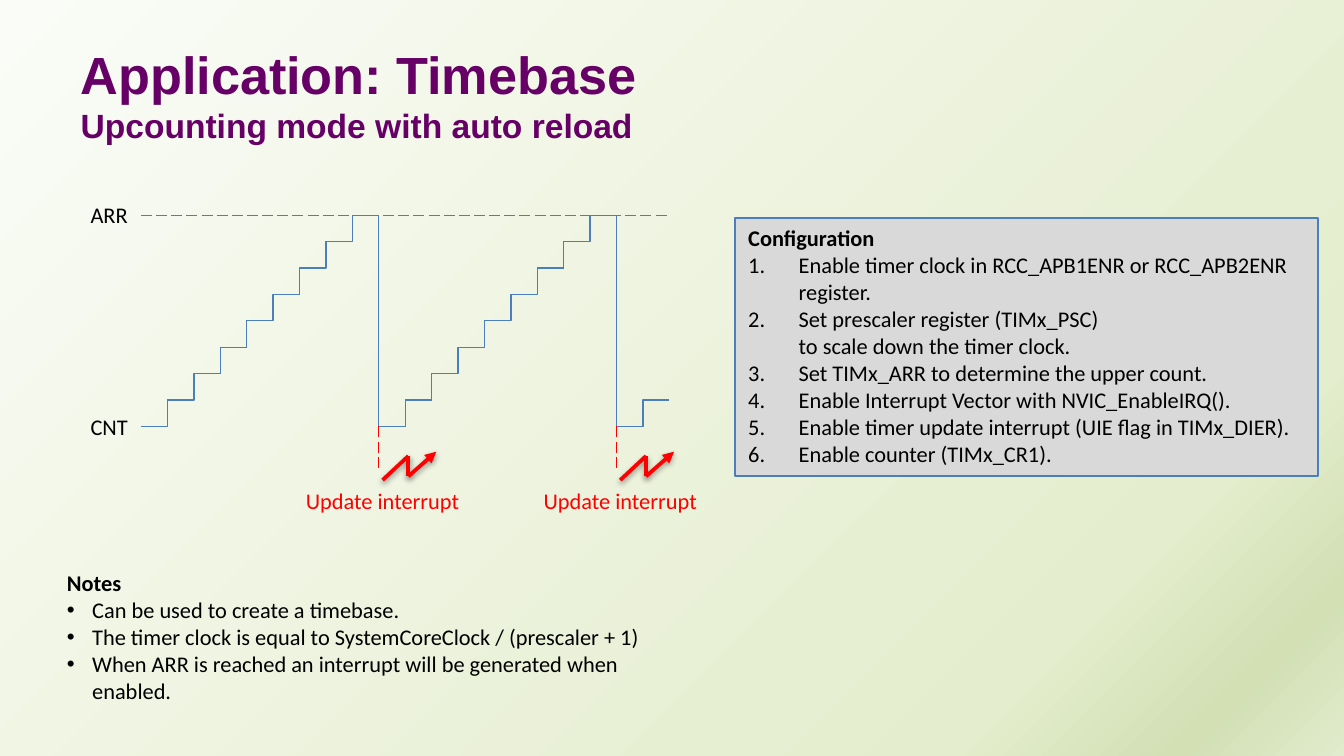
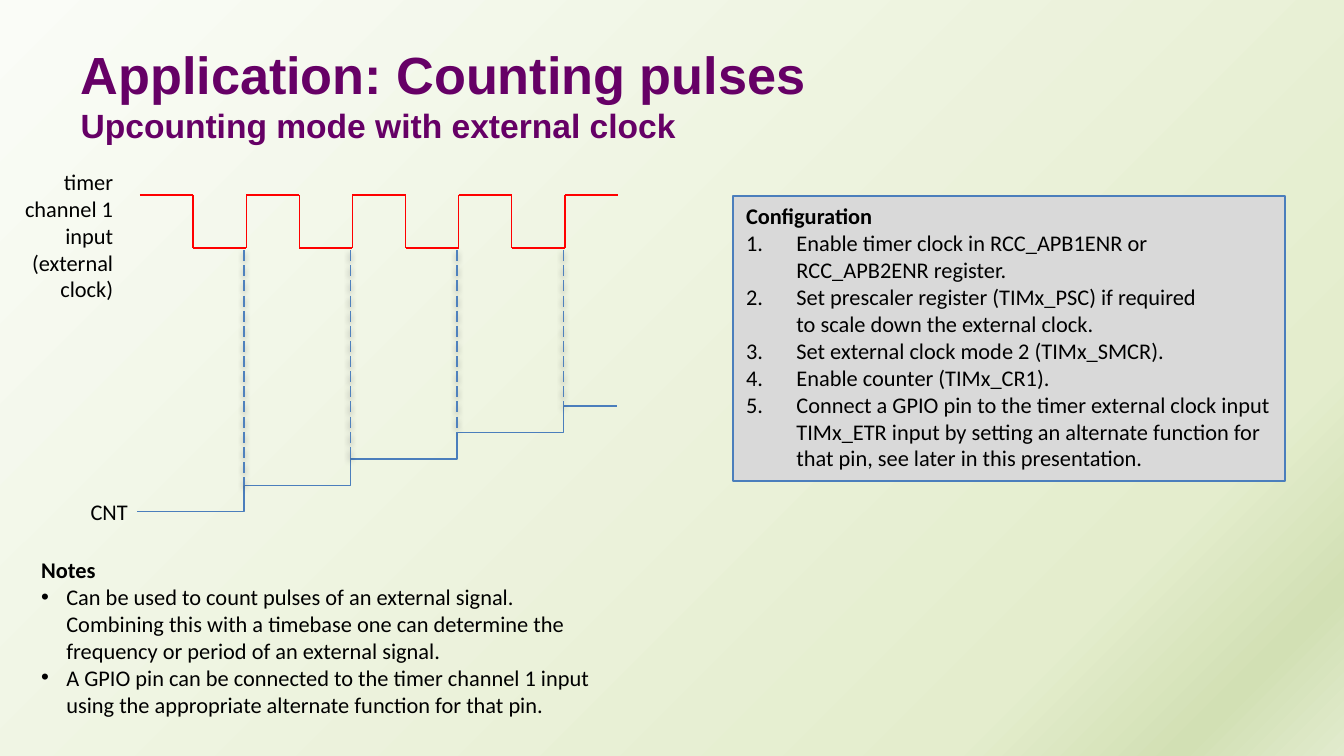
"""Builds two slides on timer applications: a timebase and a pulse counter."""
from copy import deepcopy

from lxml import etree
from pptx import Presentation
from pptx.dml.color import RGBColor
from pptx.enum.dml import MSO_LINE
from pptx.enum.shapes import MSO_CONNECTOR, MSO_SHAPE
from pptx.enum.text import MSO_ANCHOR, MSO_AUTO_SIZE, PP_ALIGN
from pptx.oxml.ns import qn
from pptx.util import Pt

STRAIGHT, ELBOW = MSO_CONNECTOR.STRAIGHT, MSO_CONNECTOR.ELBOW
RECTANGLE = MSO_SHAPE.RECTANGLE
LONG_DASH = MSO_LINE.LONG_DASH
LEFT, RIGHT = PP_ALIGN.LEFT, PP_ALIGN.RIGHT
TOP, MIDDLE = MSO_ANCHOR.TOP, MSO_ANCHOR.MIDDLE
FIT_SHAPE, NO_FIT = MSO_AUTO_SIZE.SHAPE_TO_FIT_TEXT, MSO_AUTO_SIZE.NONE

COLORS = {"title": "660066", "text": "000000", "counter": "4B7EBC", "clock": "4F81BD",
          "signal": "FF0000", "panel": "D9D9D9", "shadow": "000000"}
BACKGROUND_STOPS = [(0, "FAFCF7"), (81, "E4EDCD"), (92, "D2E0B4"), (100, "E1EBCD")]
TITLE_ONLY = 5
LABEL_HEIGHT = 21.8


def color_of(name):
    """Return the named colour."""
    return RGBColor.from_string(COLORS[name])


def add_element(parent, tag, **attributes):
    """Append a DrawingML element and return it."""
    element = etree.SubElement(parent, qn(tag))
    for name, value in attributes.items():
        element.set(name, str(value))
    return element


def write(paragraph, text, size=12, font="Calibri", color="text", bold=False):
    """Add formatted text to a paragraph, with a line break at each newline."""
    for index, line in enumerate(text.split("\n")):
        if index:
            paragraph.add_line_break()
            paragraph._p[-1].append(deepcopy(run._r.get_or_add_rPr()))
        if line:
            run = paragraph.add_run()
            run.text = line
            run.font.size = Pt(size)
            run.font.name = font
            run.font.bold = bold
            run.font.color.rgb = color_of(color)


class Deck:
    """Holds the shared style and the current slide."""

    def __init__(self):
        """Create the presentation and its background."""
        self.presentation = Presentation()
        self.presentation.slide_width, self.presentation.slide_height = Pt(720), Pt(405)
        self.slide = None
        master = self.presentation.slide_master
        fill = master.background.fill
        fill.gradient()
        fill.gradient_angle = 315
        stops = master.element.find(".//" + qn("p:bg")).find(".//" + qn("a:gsLst"))
        for stop in list(stops):
            stops.remove(stop)
        for position, color in BACKGROUND_STOPS:
            stop = add_element(stops, "a:gs", pos=position * 1000)
            add_element(stop, "a:srgbClr", val=color)

    def add_slide(self, heading, subheading):
        """Start a slide with a two-line title."""
        layout = self.presentation.slide_layouts[TITLE_ONLY]
        self.slide = self.presentation.slides.add_slide(layout)
        title = self.slide.shapes.title
        title.left, title.top, title.width, title.height = Pt(36), Pt(16.6), Pt(641.5), Pt(67.7)
        frame = title.text_frame
        frame.auto_size, frame.vertical_anchor = NO_FIT, MIDDLE
        paragraph = frame.paragraphs[0]
        paragraph.alignment = LEFT
        write(paragraph, heading + "\n", 28, "Arial", "title", True)
        write(paragraph, subheading, 18, "Arial", "title", True)

    def label(self, text, left, top, width, height=LABEL_HEIGHT, align=RIGHT,
              color="text", wrap=False):
        """Add a short caption."""
        box = self.slide.shapes.add_textbox(Pt(left), Pt(top), Pt(width), Pt(height))
        box.text_frame.word_wrap, box.text_frame.auto_size = wrap, FIT_SHAPE
        paragraph = box.text_frame.paragraphs[0]
        paragraph.alignment = align
        write(paragraph, text, color=color)
        return box

    def fill_list(self, shape, heading, items, indent, marker, **attributes):
        """Write a bold heading and a list below it."""
        frame = shape.text_frame
        frame.word_wrap, frame.auto_size, frame.vertical_anchor = True, FIT_SHAPE, TOP
        frame.paragraphs[0].alignment = LEFT
        write(frame.paragraphs[0], heading, bold=True)
        for item in items:
            paragraph = frame.add_paragraph()
            paragraph.alignment = LEFT
            properties = paragraph._p.get_or_add_pPr()
            properties.set("marL", str(Pt(indent)))
            properties.set("indent", str(-Pt(indent)))
            add_element(properties, "a:buFont", typeface="Arial" if marker == "a:buChar" else "+mj-lt")
            add_element(properties, marker, **attributes)
            write(paragraph, item)

    def remarks(self, items, left, top, width, height):
        """Add the bulleted remarks."""
        box = self.slide.shapes.add_textbox(Pt(left), Pt(top), Pt(width), Pt(height))
        self.fill_list(box, "Notes", items, 13.5, "a:buChar", char="•")

    def configuration(self, steps, left, top, width, height):
        """Add the panel with numbered steps."""
        panel = self.slide.shapes.add_shape(RECTANGLE, Pt(left), Pt(top), Pt(width), Pt(height))
        panel.shadow.inherit = False
        panel.fill.solid()
        panel.fill.fore_color.rgb = color_of("panel")
        panel.line.color.rgb = color_of("counter")
        panel.line.width = Pt(1)
        self.fill_list(panel, "Configuration", steps, 27, "a:buAutoNum", type="arabicPeriod")

    def line(self, start, end, color="counter", kind=STRAIGHT, width=0.75, dash=None,
             arrow=False, shadow=False, group=None):
        """Add a connector between two points."""
        shapes = (group or self.slide).shapes
        connector = shapes.add_connector(kind, *[Pt(value) for value in (*start, *end)])
        connector.line.color.rgb = color_of(color)
        connector.line.width = Pt(width)
        if dash:
            connector.line.dash_style = dash
        properties = connector._element.spPr
        if arrow:
            add_element(properties.find(qn("a:ln")), "a:tailEnd", type="triangle")
        effects = add_element(properties, "a:effectLst")
        if shadow:
            outer = add_element(effects, "a:outerShdw", blurRad=Pt(3.1), dist=Pt(1.6),
                                dir=90 * 60000, rotWithShape=0)
            tint = add_element(outer, "a:srgbClr", val=COLORS["shadow"])
            add_element(tint, "a:alpha", val=38000)
        return connector

    def stairs(self, left, bottom, count, run, rise):
        """Add overlapping elbow steps that climb to the right."""
        return [self.line((left + index * run, bottom - index * rise),
                          (left + (index + 2) * run, bottom - (index + 1) * rise), kind=ELBOW)
                for index in range(count)]

    def interrupt(self, left, bottom):
        """Mark an update interrupt below the point where the counter resets."""
        self.line((left, bottom), (left, 251.2), "signal", dash=LONG_DASH)
        group = self.slide.shapes.add_group_shape()
        points = [(left + 2, 257.2), (left + 15.8, 244.3), (left + 15.8, 255.2), (left + 30.8, 242)]
        for start, end in zip(points, points[1:]):
            self.line(start, end, "signal", width=2, arrow=end == points[-1],
                      shadow=True, group=group)
        self.label("Update interrupt", left - 46.2, 257.2, 97.2, align=LEFT, color="signal")


def timebase_slide(deck):
    """Build the slide on a timebase."""
    deck.add_slide("Application: Timebase", "Upcounting mode with auto reload")
    deck.remarks(["Can be used to create a timebase.",
                  "The timer clock is equal to SystemCoreClock / (prescaler + 1)",
                  "When ARR is reached an interrupt will be generated when enabled."],
                 28.8, 301.5, 350, 80)
    left, top, bottom, step, count = 75.6, 115.3, 228.5, 14.15, 8
    period = (count + 1) * step
    labels = [deck.label(text, left - 34.6, y - LABEL_HEIGHT / 2, 34.6)
              for text, y in (("ARR", top), ("CNT", bottom))]
    limit = deck.line((left, top), (359.3, top), dash=LONG_DASH)
    limit.begin_connect(labels[0], 3)
    for index, steps in enumerate((count, count, 1)):
        start = left + index * period
        stairs = deck.stairs(start, bottom, steps, step, step)
        if index == 0:
            stairs[0].begin_connect(labels[1], 3)
        else:
            deck.line((start, top), (start, bottom))
            deck.interrupt(start, bottom)
    deck.configuration(["Enable timer clock in RCC_APB1ENR or RCC_APB2ENR register.",
                        "Set prescaler register (TIMx_PSC)\nto scale down the timer clock.",
                        "Set TIMx_ARR to determine the upper count.",
                        "Enable Interrupt Vector with NVIC_EnableIRQ().",
                        "Enable timer update interrupt (UIE flag in TIMx_DIER).",
                        "Enable counter (TIMx_CR1)."],
                       393.8, 116.8, 312.2, 138.2)


def pulses_slide(deck):
    """Build the slide on counting pulses."""
    deck.add_slide("Application: Counting pulses", "Upcounting mode with external clock")
    deck.remarks(["Can be used to count pulses of an external signal. Combining this with a "
                  "timebase one can determine the frequency or period of an external signal.",
                  "A GPIO pin can be connected to the timer channel 1 input using the "
                  "appropriate alternate function for that pin."],
                 15, 294.5, 316, 94.5)
    deck.label("CNT", 41, 263.5, 34.6)
    deck.label("timer channel 1 input\n(external clock)", -12.2, 86.5, 79.9, 80, wrap=True)

    left, half_period, high, low = 75, 28.45, 104.4, 132.8
    for index in range(9):
        x = left + index * half_period
        y = low if index % 2 else high
        if index:
            deck.line((x, high), (x, low), "signal")
        deck.line((x, y), (x + half_period, y), "signal")

    left, bottom, run, rise = 73.6, 274.2, 57.05, 14.15
    deck.stairs(left, bottom, 3, run, rise)
    deck.stairs(left + 3.5 * run, bottom - 3 * rise, 1, run / 2, rise)
    for index in range(1, 5):
        x = left + index * run
        deck.line((x, 134), (x, bottom - index * rise), "clock", dash=LONG_DASH, shadow=True)
    deck.configuration(["Enable timer clock in RCC_APB1ENR or RCC_APB2ENR register.",
                        "Set prescaler register (TIMx_PSC) if required\n"
                        "to scale down the external clock.",
                        "Set external clock mode 2 (TIMx_SMCR).",
                        "Enable counter (TIMx_CR1).",
                        "Connect a GPIO pin to the timer external clock input TIMx_ETR input by "
                        "setting an alternate function for that pin, see later in this presentation."],
                       392.6, 105, 296, 152.7)


def main():
    """Build and save the presentation."""
    deck = Deck()
    timebase_slide(deck)
    pulses_slide(deck)
    deck.presentation.save("out.pptx")


if __name__ == "__main__":
    main()
